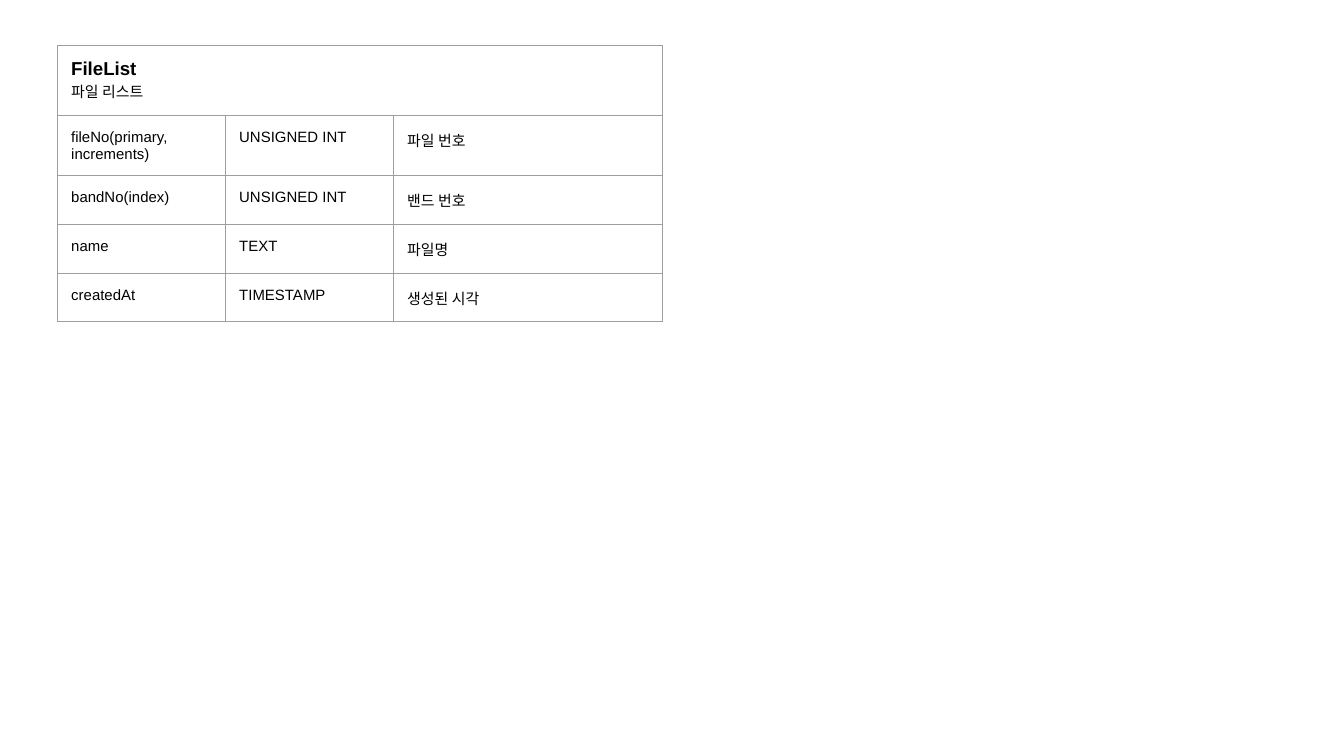
from dataclasses import dataclass
from typing import NamedTuple

from lxml.etree import fromstring
from pptx import Presentation
from pptx.dml.color import RGBColor
from pptx.oxml.ns import nsdecls
from pptx.table import _Cell
from pptx.util import Inches, Pt


@dataclass(frozen=True)
class Theme:
    font: str = "Arial"
    ink: str = "000000"
    border: str = "9E9E9E"
    border_width: float = 0.75
    name_size: int = 10
    body_size: int = 8
    inset: float = 0.1


class Field(NamedTuple):
    name: str
    data_type: str
    meaning: str


THEME = Theme()
COLUMN_WIDTHS = (1.25, 1.25, 2.0)
ROW_HEIGHT = 0.36  # rows with two lines grow to fit
FIELDS = (
    Field("fileNo(primary, increments)", "UNSIGNED INT", "파일 번호"),
    Field("bandNo(index)", "UNSIGNED INT", "밴드 번호"),
    Field("name", "TEXT", "파일명"),
    Field("createdAt", "TIMESTAMP", "생성된 시각"),
)


def write(cell: _Cell, text: str, *, size: int = THEME.body_size,
          bold: bool = False, new_line: bool = False) -> None:
    """Write one paragraph in a cell, the first or a following one."""
    frame = cell.text_frame
    paragraph = frame.add_paragraph() if new_line else frame.paragraphs[0]
    run = paragraph.add_run()
    run.text = text
    run.font.name = THEME.font
    run.font.size = Pt(size)
    run.font.bold = bold
    run.font.color.rgb = RGBColor.from_string(THEME.ink)


def style_cell(cell: _Cell) -> None:
    """Give a cell its insets, no fill and a border on each side."""
    cell.margin_left = cell.margin_right = Inches(THEME.inset)
    cell.margin_top = cell.margin_bottom = Inches(THEME.inset)
    cell.fill.background()
    properties = cell._tc.get_or_add_tcPr()
    for position, side in enumerate(("lnL", "lnR", "lnT", "lnB")):
        properties.insert(position, fromstring(
            f'<a:{side} {nsdecls("a")} w="{Pt(THEME.border_width)}">'
            f'<a:solidFill><a:srgbClr val="{THEME.border}"/></a:solidFill>'
            f'<a:prstDash val="solid"/></a:{side}>'))


def main() -> None:
    # Widescreen slide, 16 to 9
    presentation = Presentation()
    presentation.slide_width = Inches(10)
    presentation.slide_height = Inches(10) * 9 // 16
    slide = presentation.slides.add_slide(presentation.slide_layouts[6])

    # Table grid
    row_count = 1 + len(FIELDS)
    file_list = slide.shapes.add_table(
        row_count, len(COLUMN_WIDTHS), Inches(0.43), Inches(0.34),
        Inches(sum(COLUMN_WIDTHS)), Inches(ROW_HEIGHT * row_count)).table
    file_list.first_row = file_list.horz_banding = False
    for column, width in zip(file_list.columns, COLUMN_WIDTHS):
        column.width = Inches(width)
    for row in file_list.rows:
        row.height = Inches(ROW_HEIGHT)
    for cell in file_list.iter_cells():
        style_cell(cell)

    # Header across all columns
    header = file_list.cell(0, 0)
    header.merge(file_list.cell(0, len(COLUMN_WIDTHS) - 1))
    write(header, "FileList", size=THEME.name_size, bold=True)
    write(header, "파일 리스트", new_line=True)

    # One row for each field
    for row_number, field in enumerate(FIELDS, start=1):
        for column_number, text in enumerate(field):
            write(file_list.cell(row_number, column_number), text)

    presentation.save("out.pptx")


if __name__ == "__main__":
    main()
